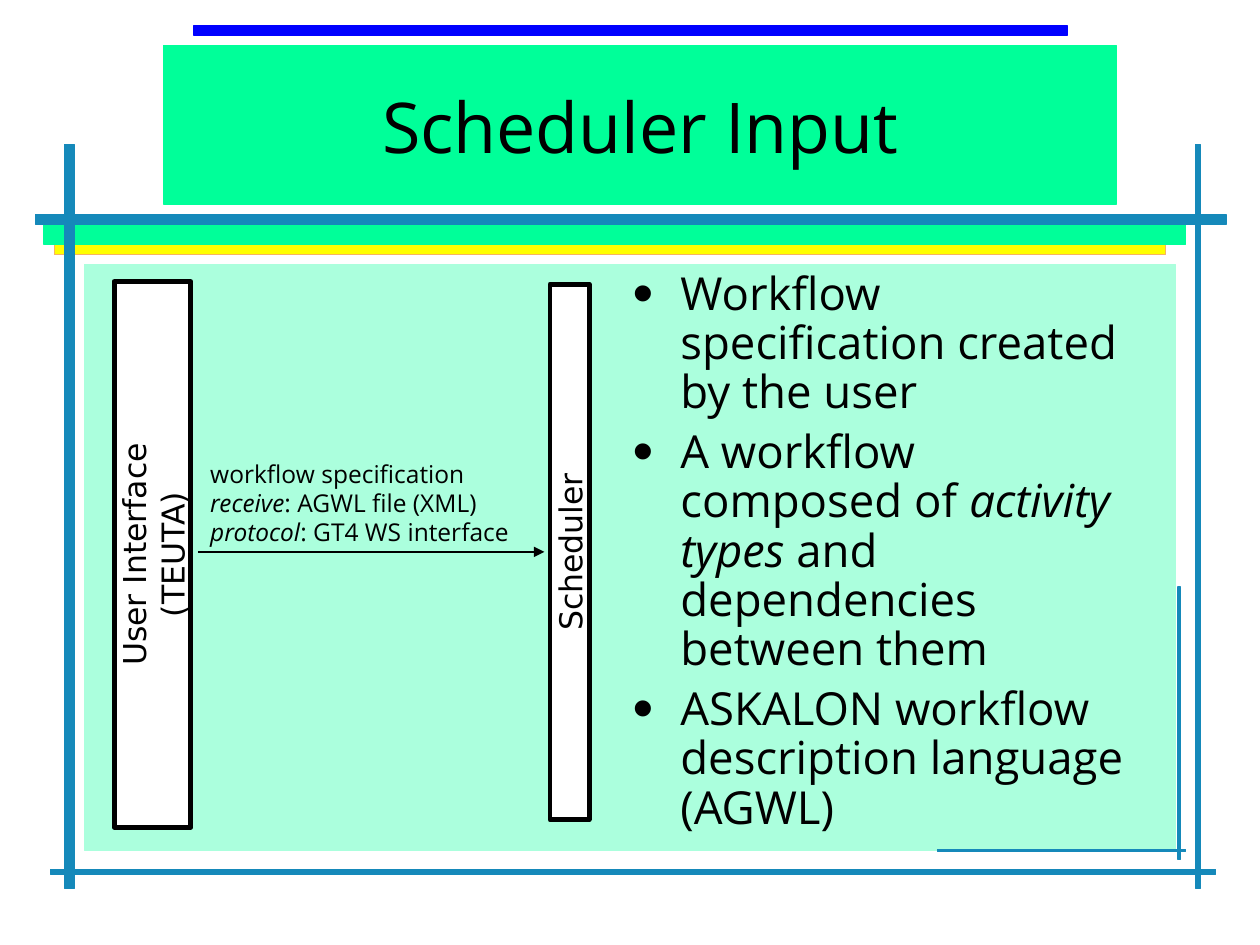
"""Build the Scheduler Input slide: a framed diagram beside a bulleted list."""
from dataclasses import dataclass

from lxml import etree
from pptx import Presentation
from pptx import util as u
from pptx.dml.color import RGBColor
from pptx.enum import shapes, text
from pptx.oxml.ns import qn

COLORS = {
    "black": "000000",
    "white": "FFFFFF",
    "panel": "ABFFDD",
    "green": "00FF99",
    "yellow": "FFFF00",
    "orange": "F8B45F",
    "teal": "1589BA",
    "blue": "0000FF",
}
HEADING_FONT = "Open Sans"
LABEL_FONT = "DejaVu Sans"


@dataclass(frozen=True)
class Bar:
    left: float
    top: float
    width: float
    height: float
    fill: str
    outline: str
    weight: float = 0.75


@dataclass(frozen=True)
class Component:
    center_x: float
    center_y: float
    length: float
    thickness: float
    lines: tuple[str, ...]


@dataclass(frozen=True)
class Part:
    words: str
    italic: bool = False


BARS = [
    Bar(0.67, 2.1, 8.66, 4.65, "panel", "panel"),
    Bar(1.3, 0.36, 7.56, 1.26, "green", "green"),
    Bar(0.43, 1.94, 8.82, 0.08, "yellow", "orange"),
    Bar(0.35, 1.78, 9.06, 0.16, "green", "green"),
    Bar(0.51, 1.15, 0.08, 5.9, "teal", "teal"),
    Bar(0.28, 1.7, 9.45, 0.08, "teal", "teal"),
    Bar(1.54, 0.2, 6.93, 0.08, "blue", "blue"),
    Bar(0.4, 6.9, 9.25, 0.04, "teal", "teal", 0),
    Bar(9.49, 1.15, 0.04, 5.9, "teal", "teal", 0),
    Bar(9.35, 4.66, 0.02, 2.16, "teal", "teal", 0),
    Bar(7.44, 6.74, 1.97, 0.02, "teal", "teal", 0),
]
COMPONENTS = [
    Component(1.21, 4.4, 4.33, 0.61, ("User Interface", "(TEUTA)")),
    Component(4.52, 4.38, 4.25, 0.31, ("Scheduler",)),
]
BULLETS = [
    [Part("Workflow specification created by the user")],
    [
        Part("A workflow composed of "),
        Part("activity types", True),
        Part(" and dependencies between them"),
    ],
    [Part("ASKALON workflow description language (AGWL)")],
]
MESSAGE = [
    [Part("workflow specification")],
    [Part("receive", True), Part(": AGWL file (XML)")],
    [Part("protocol", True), Part(": GT4 WS interface")],
]


def color(name: str) -> RGBColor:
    return RGBColor.from_string(COLORS[name])


def place(shape, left: float, top: float, width: float, height: float) -> None:
    shape.left, shape.top = u.Inches(left), u.Inches(top)
    shape.width, shape.height = u.Inches(width), u.Inches(height)


def paint(shape, fill: str, outline: str, weight: float) -> None:
    shape.shadow.inherit = False
    shape.fill.solid()
    shape.fill.fore_color.rgb = color(fill)
    shape.line.color.rgb = color(outline)
    shape.line.width = u.Pt(weight)


def set_font(paragraph, name: str, size: float) -> None:
    paragraph.font.name = name
    paragraph.font.size = u.Pt(size)
    paragraph.font.color.rgb = color("black")


def paragraphs_for(frame, count: int) -> list:
    return [frame.paragraphs[0]] + [frame.add_paragraph() for _ in range(count - 1)]


def add_parts(paragraph, parts: list[Part]) -> None:
    for part in parts:
        run = paragraph.add_run()
        run.text = part.words
        if part.italic:
            run.font.italic = True


def add_bullet(paragraph) -> None:
    properties = paragraph._p.get_or_add_pPr()
    properties.set("marL", str(u.Inches(0.38)))
    properties.set("indent", str(-u.Inches(0.38)))
    bullet_color = etree.SubElement(properties, qn("a:buClr"))
    etree.SubElement(bullet_color, qn("a:srgbClr"), val=COLORS["black"])
    etree.SubElement(properties, qn("a:buSzPct"), val="130000")
    etree.SubElement(properties, qn("a:buChar"), char="•")


def draw_bar(slide, bar: Bar) -> None:
    shape = slide.shapes.add_shape(
        shapes.MSO_SHAPE.RECTANGLE,
        u.Inches(bar.left), u.Inches(bar.top), u.Inches(bar.width), u.Inches(bar.height),
    )
    paint(shape, bar.fill, bar.outline, bar.weight)


def draw_component(slide, component: Component) -> None:
    shape = slide.shapes.add_shape(
        shapes.MSO_SHAPE.ROUNDED_RECTANGLE,
        u.Inches(component.center_x - component.length / 2),
        u.Inches(component.center_y - component.thickness / 2),
        u.Inches(component.length), u.Inches(component.thickness),
    )
    shape.adjustments[0] = 0
    shape.rotation = 270
    paint(shape, "white", "black", 2.83)
    frame = shape.text_frame
    frame.margin_left = frame.margin_right = frame.margin_top = frame.margin_bottom = 0
    frame.vertical_anchor = text.MSO_ANCHOR.MIDDLE
    for paragraph, line in zip(paragraphs_for(frame, len(component.lines)), component.lines):
        paragraph.text = line
        paragraph.alignment = text.PP_ALIGN.CENTER
        paragraph.line_spacing = 1.02
        set_font(paragraph, LABEL_FONT, 18)


def fill_title(slide) -> None:
    title = slide.shapes.title
    place(title, 1.3, 0.37, 7.56, 1.25)
    frame = title.text_frame
    frame.text = "Scheduler Input"
    frame.auto_size = text.MSO_AUTO_SIZE.NONE
    frame.vertical_anchor = text.MSO_ANCHOR.MIDDLE
    frame.paragraphs[0].alignment = text.PP_ALIGN.CENTER
    set_font(frame.paragraphs[0], HEADING_FONT, 40)


def fill_body(slide) -> None:
    body = slide.placeholders[1]
    place(body, 4.92, 2.1, 4.25, 4.6)
    frame = body.text_frame
    frame.auto_size = text.MSO_AUTO_SIZE.NONE
    for index, paragraph in enumerate(paragraphs_for(frame, len(BULLETS))):
        add_bullet(paragraph)
        paragraph.line_spacing = 0.9
        paragraph.space_before = u.Pt(6.5 if index else 0)
        set_font(paragraph, HEADING_FONT, 26)
        add_parts(paragraph, BULLETS[index])


def draw_message(slide) -> None:
    arrow = slide.shapes.add_connector(
        shapes.MSO_CONNECTOR.STRAIGHT,
        u.Inches(1.57), u.Inches(4.38), u.Inches(4.32), u.Inches(4.38),
    )
    arrow.line.color.rgb = color("black")
    arrow.line.width = u.Pt(1.5)
    etree.SubElement(arrow.line._get_or_add_ln(), qn("a:tailEnd"), type="triangle")
    etree.SubElement(arrow._element.spPr, qn("a:effectLst"))
    label = slide.shapes.add_textbox(
        u.Inches(1.57), u.Inches(3.59), u.Inches(2.59), u.Inches(0.8)
    )
    label.text_frame.word_wrap = False
    for paragraph, parts in zip(paragraphs_for(label.text_frame, len(MESSAGE)), MESSAGE):
        set_font(paragraph, HEADING_FONT, 14)
        add_parts(paragraph, parts)


def main() -> None:
    presentation = Presentation()
    presentation.slide_width, presentation.slide_height = u.Inches(10), u.Inches(7.5)
    slide = presentation.slides.add_slide(presentation.slide_layouts[1])
    placeholders = [shape._element for shape in slide.placeholders]
    for bar in BARS:
        draw_bar(slide, bar)
    for element in placeholders:
        slide.shapes._spTree.append(element)
    fill_title(slide)
    fill_body(slide)
    for component in COMPONENTS:
        draw_component(slide, component)
    draw_message(slide)
    presentation.save("out.pptx")


if __name__ == "__main__":
    main()
